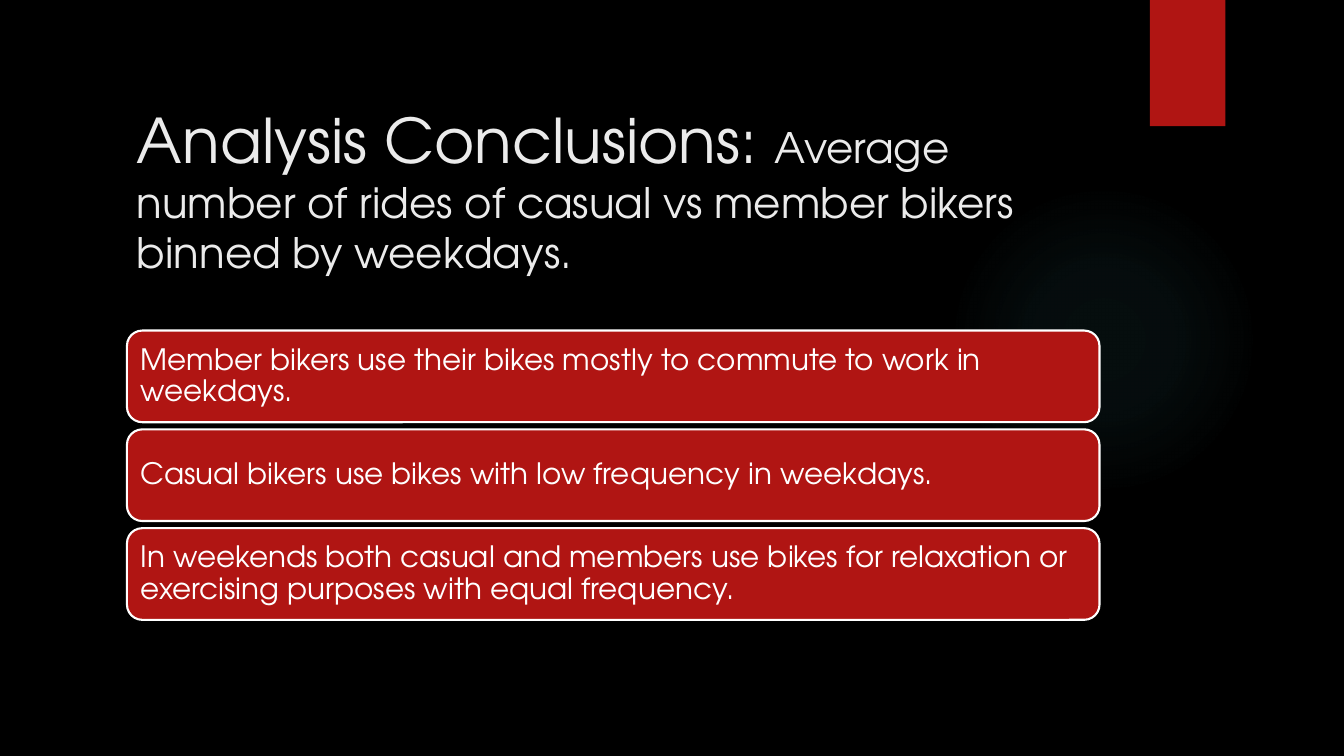
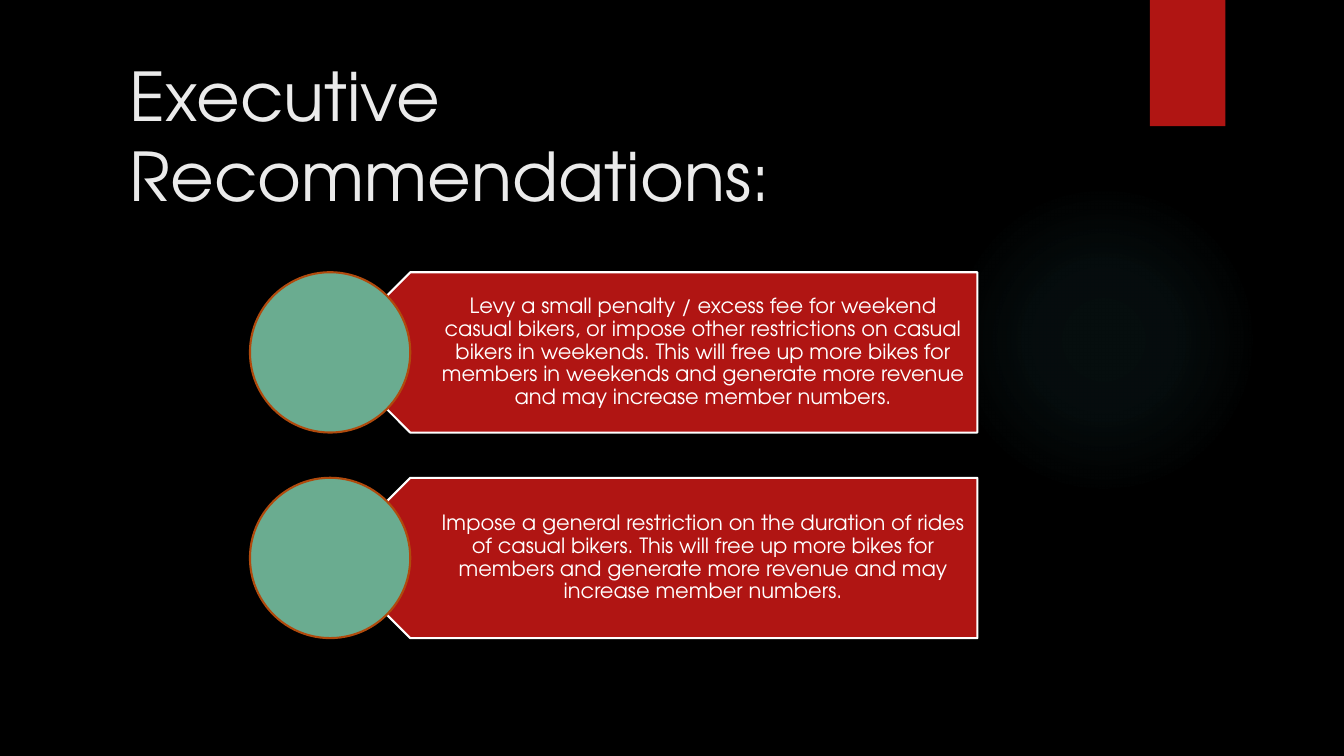
from lxml import etree
from pptx import Presentation
from pptx.dml.color import RGBColor
from pptx.enum import shapes, text
from pptx.oxml import ns
from pptx.util import Cm, Pt

FONT = "TeX Gyre Adventor"
COLORS = {
    "background": "000000", "red": "B01513", "title": "EBEBEB", "white": "FFFFFF",
    "glow": "50B9C1", "green": "6AAC90", "rust": "B04A0D", "shadow": "000000",
}
GLOW_STOPS = [(0, 7), (36, 6), (69, 0)]  # position %, opacity %

CONCLUSIONS_TITLE = [
    ("Analysis Conclusions: ", 44),
    ("Average number of rides of casual vs member bikers binned by weekdays.", 30),
]
CONCLUSIONS = [
    "Member bikers use their bikes mostly to commute to work in weekdays.",
    "Casual bikers use bikes with low frequency in weekdays.",
    "In weekends both casual and members use bikes for relaxation or exercising "
    "purposes with equal frequency.",
]
RECOMMENDATIONS_TITLE = [("Executive Recommendations:", 48)]
RECOMMENDATIONS = [
    "Levy a small penalty / excess fee for weekend casual bikers, or impose other "
    "restrictions on casual bikers in weekends. This will free up more bikes for members "
    "in weekends and generate more revenue and may increase member numbers.",
    "Impose a general restriction on the duration of rides of casual bikers. This will "
    "free up more bikes for members and generate more revenue and may increase member "
    "numbers.",
]


def rgb(name):
    return RGBColor.from_string(COLORS[name])


def drawing_xml(tag, attributes, body):
    """Build one DrawingML element whose tags use the a: prefix."""
    return etree.fromstring(f'<a:{tag} {ns.nsdecls("a")} {attributes}>{body}</a:{tag}>')


def color_xml(name, opacity):
    return f'<a:srgbClr val="{COLORS[name]}"><a:alpha val="{opacity * 1000}"/></a:srgbClr>'


def add_figure(slide, kind, box, fill, line=None):
    """Add a preset shape; box is left, top, width, height in cm."""
    figure = slide.shapes.add_shape(kind, *map(Cm, box))
    figure.shadow.inherit = False
    figure.fill.solid()
    figure.fill.fore_color.rgb = rgb(fill)
    if line:
        figure.line.color.rgb = rgb(line)
        figure.line.width = Pt(1.5)
    else:
        figure.line.fill.background()
    return figure


def write(frame, runs, color, anchor, align=text.PP_ALIGN.LEFT, spacing=None,
          insets=(0.25, 0.13, 0.25, 0.13)):
    """Fill a text frame with one paragraph; insets are left, top, right, bottom in cm."""
    frame.word_wrap = True
    frame.vertical_anchor = anchor
    (frame.margin_left, frame.margin_top,
     frame.margin_right, frame.margin_bottom) = map(Cm, insets)
    paragraph = frame.paragraphs[0]
    paragraph.alignment = align
    paragraph.line_spacing = spacing
    for words, size in runs:
        run = paragraph.add_run()
        run.text = words
        run.font.name = FONT
        run.font.size = Pt(size)
        run.font.color.rgb = rgb(color)


def add_glow(slide):
    glow = add_figure(slide, shapes.MSO_SHAPE.OVAL, (23.9, 4.65, 7.82, 7.82), "glow")
    stops = "".join(f'<a:gs pos="{position * 1000}">{color_xml("glow", opacity)}</a:gs>'
                    for position, opacity in GLOW_STOPS)
    gradient = drawing_xml(
        "gradFill", 'rotWithShape="1"',
        f'<a:gsLst>{stops}</a:gsLst><a:path path="circle">'
        '<a:fillToRect l="50000" t="50000" r="50000" b="50000"/></a:path>')
    properties = glow.element.spPr
    properties.replace(properties.find(ns.qn("a:solidFill")), gradient)


def add_ribbon(slide):
    ribbon = add_figure(slide, shapes.MSO_SHAPE.RECTANGLE, (28.98, 0, 1.9, 3.18), "red")
    shadow = drawing_xml(
        "outerShdw",
        f'blurRad="{int(Pt(3))}" dist="{int(Pt(2))}" dir="{90 * 60000}" rotWithShape="0"',
        color_xml("shadow", 45))
    ribbon.element.spPr.find(ns.qn("a:effectLst")).append(shadow)


def add_themed_slide(deck, title, title_box):
    slide = deck.slides.add_slide(deck.slide_layouts[6])
    add_glow(slide)
    add_ribbon(slide)
    heading = slide.shapes.add_textbox(*map(Cm, title_box))
    write(heading.text_frame, title, "title", text.MSO_ANCHOR.BOTTOM)
    return slide


def add_conclusions(deck):
    left, width = 3.2, 24.51
    first_top, height, pitch = 8.33, 2.31, 2.49
    slide = add_themed_slide(deck, CONCLUSIONS_TITLE, (left, 2.82, width, 4.29))
    for row, conclusion in enumerate(CONCLUSIONS):
        bar = add_figure(slide, shapes.MSO_SHAPE.ROUNDED_RECTANGLE,
                         (left, first_top + row * pitch, width, height), "red", "white")
        write(bar.text_frame, [(conclusion, 21)], "white", text.MSO_ANCHOR.MIDDLE,
              spacing=0.9, insets=(0.23,) * 4)


def add_recommendations(deck):
    disc_left, size = 6.3, 4.04
    first_top, pitch = 6.86, 5.18
    plate_left, plate_width = disc_left + size / 2, 16.31
    notch = size / 4  # half the depth of the arrow point
    slide = add_themed_slide(deck, RECOMMENDATIONS_TITLE, (3.02, 1.32, 24.51, 4.24))
    for row, recommendation in enumerate(RECOMMENDATIONS):
        top = first_top + row * pitch
        plate = add_figure(slide, shapes.MSO_SHAPE.PENTAGON,
                           (plate_left, top, plate_width, size), "red", "white")
        plate.rotation = 180
        label = slide.shapes.add_textbox(
            *map(Cm, (plate_left + notch, top, plate_width - notch, size)))
        write(label.text_frame, [(recommendation, 15)], "white", text.MSO_ANCHOR.MIDDLE,
              text.PP_ALIGN.CENTER, 0.9, (1.78, 0.15, 0.3, 0.15))
        add_figure(slide, shapes.MSO_SHAPE.OVAL, (disc_left, top, size, size),
                   "green", "rust")


def main():
    deck = Presentation()
    deck.slide_width, deck.slide_height = Cm(33.87), Cm(19.05)
    backdrop = deck.slide_master.background.fill
    backdrop.solid()
    backdrop.fore_color.rgb = rgb("background")
    add_conclusions(deck)
    add_recommendations(deck)
    deck.save("out.pptx")


if __name__ == "__main__":
    main()
